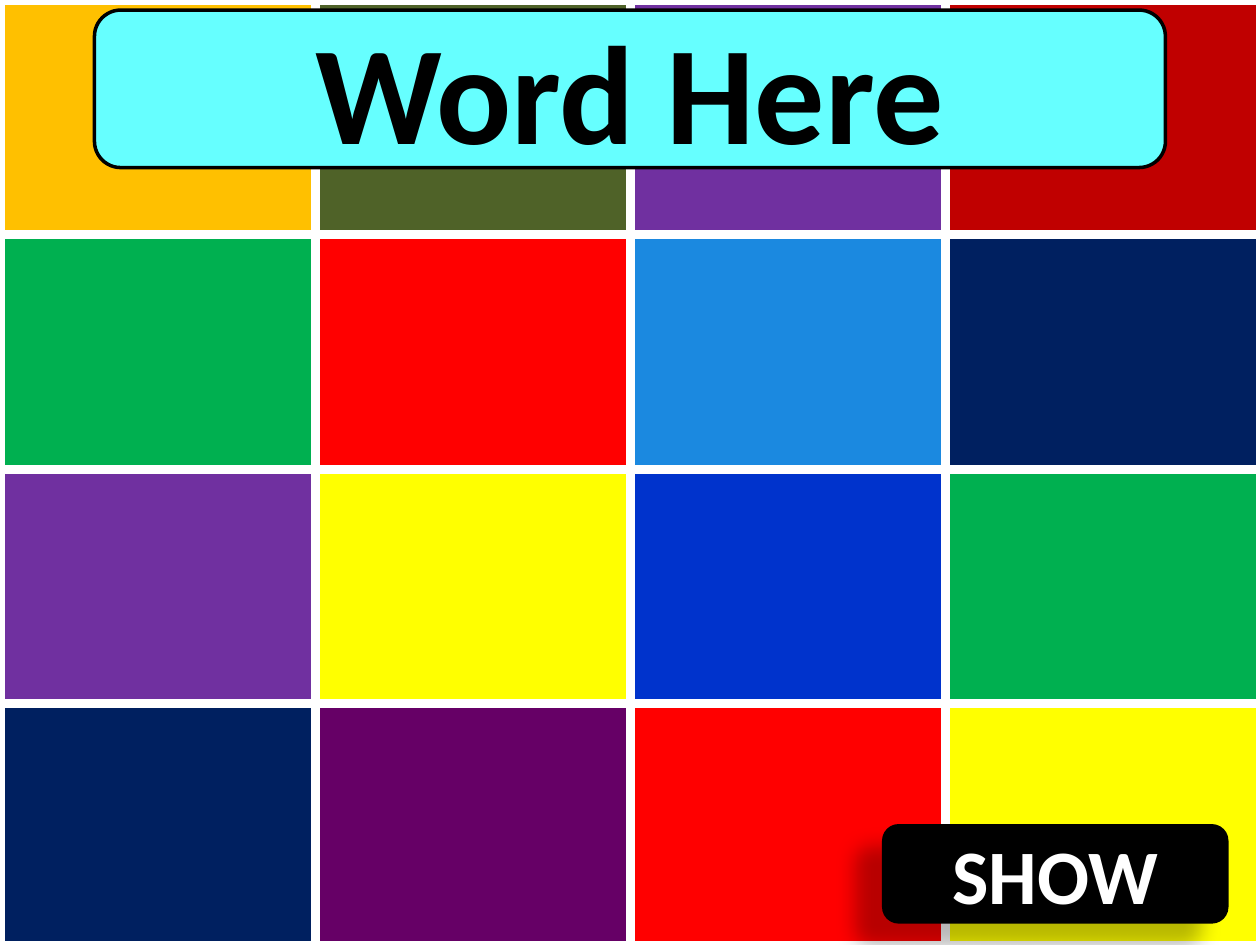
from lxml import etree
from pptx import Presentation
from pptx.dml.color import RGBColor
from pptx.enum.shapes import MSO_SHAPE
from pptx.enum.text import MSO_ANCHOR, PP_ALIGN
from pptx.oxml.ns import qn
from pptx.util import Inches, Pt

RECT = MSO_SHAPE.RECTANGLE
ROUNDED = MSO_SHAPE.ROUNDED_RECTANGLE
MIDDLE = MSO_ANCHOR.MIDDLE
CENTER = PP_ALIGN.CENTER

COLORS = {
    "white": "FFFFFF", "black": "000000", "cyan": "66FFFF",
    "amber": "FFC000", "olive": "4F6228", "violet": "7030A0",
    "crimson": "C00000", "green": "00B050", "red": "FF0000",
    "sky": "1B89E0", "navy": "002060", "yellow": "FFFF00",
    "blue": "0033CC", "plum": "660066",
}

TILES = [
    ["amber", "olive", "violet", "crimson"],
    ["green", "red", "sky", "navy"],
    ["violet", "yellow", "blue", "green"],
    ["navy", "plum", "red", "yellow"],
]
TILE_LEFT, TILE_TOP = 0.02, 0.02
COL_STEP, ROW_STEP = 2.5, 1.86
TILE_W = 2.47
ROW_HEIGHTS = [1.83, 1.83, 1.83, 1.89]


def rgb(name):
    return RGBColor.from_string(COLORS[name])


def add_box(slide, kind, left, top, width, height, fill, line=None, weight=0):
    sp = slide.shapes.add_shape(
        kind, Inches(left), Inches(top), Inches(width), Inches(height))
    sp.shadow.inherit = False
    sp.fill.solid()
    sp.fill.fore_color.rgb = rgb(fill)
    if line:
        sp.line.color.rgb = rgb(line)
        sp.line.width = Pt(weight)
    else:
        sp.line.fill.background()
    return sp


def set_text(sp, text, size, color, bold=True, font="Calibri"):
    tf = sp.text_frame
    tf.word_wrap = True
    tf.vertical_anchor = MIDDLE
    p = tf.paragraphs[0]
    p.alignment = CENTER
    r = p.add_run()
    r.text = text
    r.font.name = font
    r.font.size = Pt(size)
    r.font.bold = bold
    r.font.color.rgb = rgb(color)


def add_shadow(sp, color, alpha, blur, distance, angle):
    effects = sp._element.spPr.find(qn("a:effectLst"))
    shadow = etree.SubElement(
        effects, qn("a:outerShdw"), blurRad=str(Pt(blur)),
        dist=str(Pt(distance)), dir=str(angle * 60000),
        algn="ctr", rotWithShape="0")
    clr = etree.SubElement(shadow, qn("a:srgbClr"), val=COLORS[color])
    etree.SubElement(clr, qn("a:alpha"), val=str(alpha * 1000))


def add_tiles(slide):
    for row, (names, height) in enumerate(zip(TILES, ROW_HEIGHTS)):
        for col, name in enumerate(names):
            add_box(slide, RECT, TILE_LEFT + col * COL_STEP,
                    TILE_TOP + row * ROW_STEP, TILE_W, height,
                    name, line="white", weight=3)


def main():
    prs = Presentation()
    prs.slide_width, prs.slide_height = Inches(10), Inches(7.5)
    slide = prs.slides.add_slide(prs.slide_layouts[6])

    # Coloured tile grid
    add_tiles(slide)

    # Show button
    button = add_box(slide, ROUNDED, 7, 6.54, 2.75, 0.79, "black")
    add_shadow(button, "black", alpha=28, blur=11.8, distance=19.7, angle=141)
    set_text(button, "SHOW", size=44, color="white")

    # Word banner
    banner = add_box(slide, ROUNDED, 0.75, 0.08, 8.5, 1.25, "cyan",
                     line="black", weight=2)
    set_text(banner, "Word Here", size=80, color="black")

    prs.save("out.pptx")


if __name__ == "__main__":
    main()
